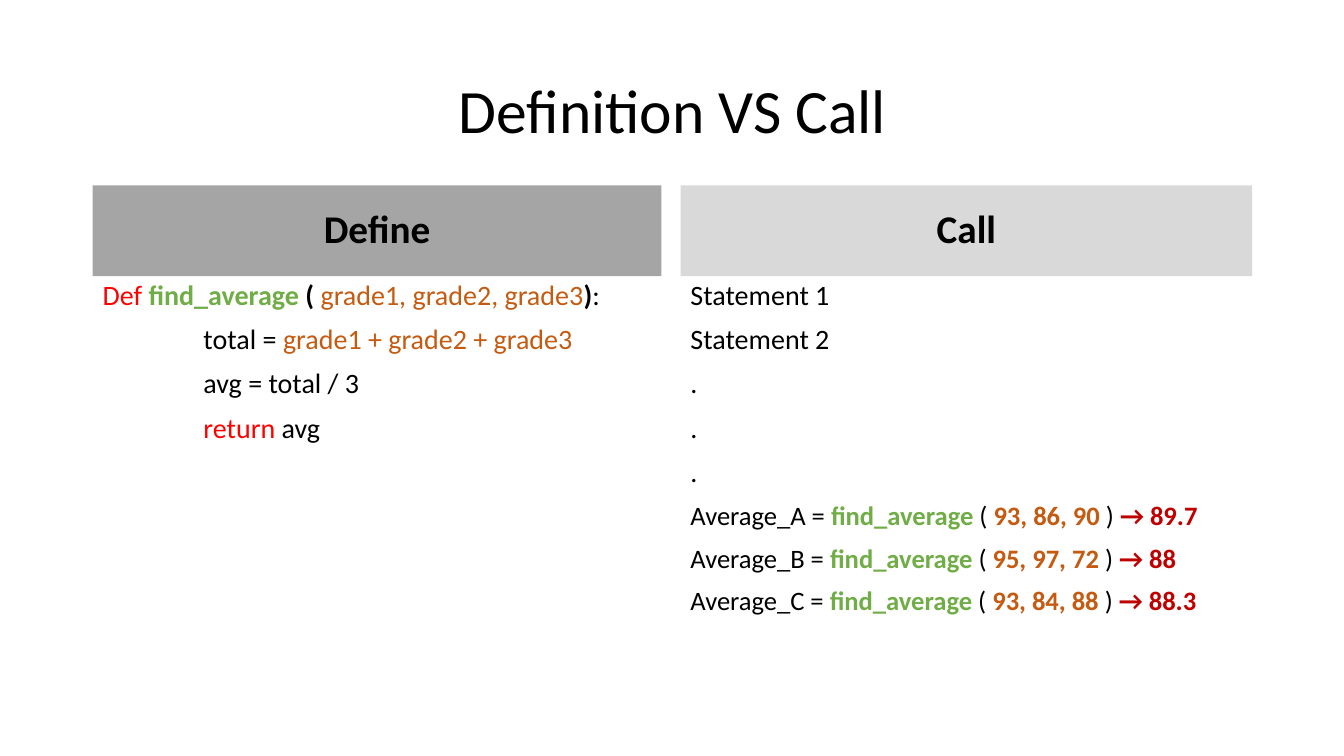
"""Build a slide that sets a function definition beside its calls."""
from dataclasses import dataclass

from pptx import Presentation
from pptx.dml.color import RGBColor
from pptx.enum.shapes import MSO_SHAPE
from pptx.enum.text import MSO_ANCHOR, PP_ALIGN
from pptx.util import Inches, Pt

RECTANGLE = MSO_SHAPE.RECTANGLE
TOP, MIDDLE = MSO_ANCHOR.TOP, MSO_ANCHOR.MIDDLE
LEFT, CENTER = PP_ALIGN.LEFT, PP_ALIGN.CENTER
FONT = "Calibri"
COLORS = {
    "text": "000000",
    "keyword": "FF0000",
    "function": "70AD47",
    "argument": "C55A11",
    "result": "C00000",
    "define": "A5A5A5",
    "call": "D9D9D9",
}
HEADER_TOP, HEADER_HEIGHT = 1.84, 0.9
BODY_TOP, BODY_HEIGHT = HEADER_TOP + HEADER_HEIGHT, 4.03


@dataclass
class Piece:
    text: str
    color: str = "text"
    bold: bool = False


@dataclass
class Line:
    pieces: list[Piece]
    size: float = 20
    indent: float = 0
    align: PP_ALIGN = LEFT
    space_before: float = 10


@dataclass
class Column:
    heading: str
    fill: str
    left: float
    width: float
    lines: list[Line]


def write_lines(shape, lines: list[Line], anchor: MSO_ANCHOR) -> None:
    """Fill a shape with formatted lines."""
    frame = shape.text_frame
    frame.word_wrap = True
    frame.vertical_anchor = anchor
    for index, line in enumerate(lines):
        paragraph = frame.add_paragraph() if index else frame.paragraphs[0]
        paragraph.alignment = line.align
        paragraph.line_spacing = 0.9
        paragraph.space_before = Pt(line.space_before)
        if line.indent:
            properties = paragraph._p.get_or_add_pPr()
            properties.set("marL", str(Inches(line.indent)))
        for piece in line.pieces:
            run = paragraph.add_run()
            run.text = piece.text
            run.font.name = FONT
            run.font.size = Pt(line.size)
            run.font.bold = piece.bold
            run.font.color.rgb = RGBColor.from_string(COLORS[piece.color])


def add_text(slide, left: float, top: float, width: float, height: float,
             lines: list[Line], anchor: MSO_ANCHOR = TOP) -> None:
    """Add a text box holding formatted lines."""
    box = slide.shapes.add_textbox(
        Inches(left), Inches(top), Inches(width), Inches(height))
    write_lines(box, lines, anchor)


def add_column(slide, column: Column) -> None:
    """Add a filled heading with its code below."""
    header = slide.shapes.add_shape(
        RECTANGLE, Inches(column.left), Inches(HEADER_TOP),
        Inches(column.width), Inches(HEADER_HEIGHT))
    header.shadow.inherit = False
    header.fill.solid()
    header.fill.fore_color.rgb = RGBColor.from_string(COLORS[column.fill])
    header.line.fill.background()
    heading = Line([Piece(column.heading, bold=True)], size=28, align=CENTER)
    write_lines(header, [heading], MIDDLE)
    add_text(slide, column.left, BODY_TOP, column.width, BODY_HEIGHT, column.lines)


def call_line(name: str, grades: str, average: str) -> Line:
    """Describe one call and its result."""
    return Line([
        Piece(f"Average_{name} = "),
        Piece("find_average ", "function", True),
        Piece("( "),
        Piece(f"{grades} ", "argument", True),
        Piece(") "),
        Piece(f"→ {average}", "result", True),
    ], size=19)


DEFINITION = [
    Line([
        Piece("Def ", "keyword"),
        Piece("find_average", "function", True),
        Piece(" ( ", bold=True),
        Piece("grade1, grade2, grade3", "argument"),
        Piece(")", bold=True),
        Piece(":"),
    ]),
    Line([Piece("total = "), Piece("grade1 + grade2 + grade3", "argument")], indent=1),
    Line([Piece("avg = total / 3")], indent=1),
    Line([Piece("return", "keyword"), Piece(" avg")], indent=1),
]
CALLS = [
    *(Line([Piece(text)]) for text in ("Statement 1", "Statement 2", ".", ".", ".")),
    call_line("A", "93, 86, 90", "89.7"),
    call_line("B", "95, 97, 72", "88"),
    call_line("C", "93, 84, 88", "88.3"),
]
COLUMNS = [
    Column("Define", "define", 0.92, 5.64, DEFINITION),
    Column("Call", "call", 6.75, 5.67, CALLS),
]

presentation = Presentation()
presentation.slide_width = Inches(13.33)
presentation.slide_height = Inches(7.5)
slide = presentation.slides.add_slide(presentation.slide_layouts[6])
title = Line([Piece("Definition VS Call")], size=44, align=CENTER, space_before=0)
add_text(slide, 0.92, 0.4, 11.5, 1.45, [title], MIDDLE)
for column in COLUMNS:
    add_column(slide, column)
presentation.save("out.pptx")
